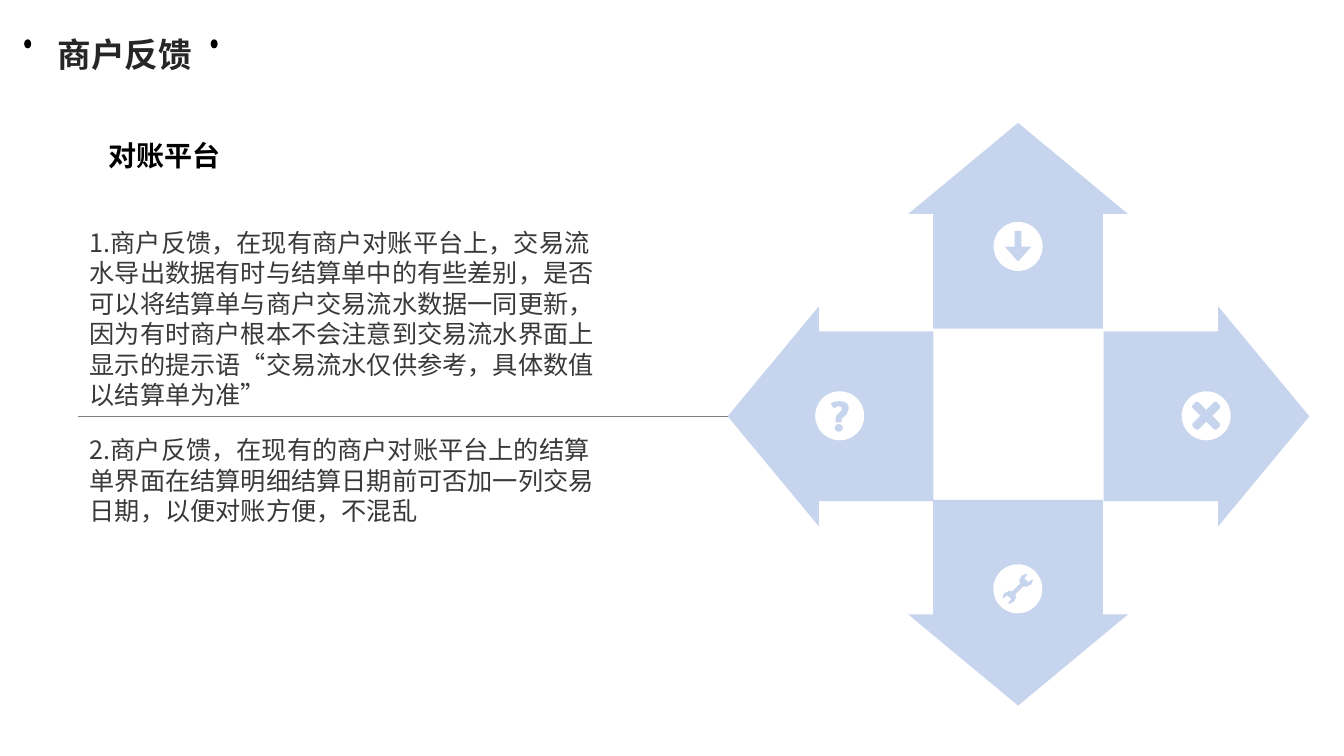
"""Build the slide on merchant feedback about the billing platform."""
import pptx
import pptx.dml.color
import pptx.enum.shapes
import pptx.enum.text
import pptx.oxml.ns
import pptx.util
import lxml.etree

Pt = pptx.util.Pt
RGBColor = pptx.dml.color.RGBColor
SHAPE = pptx.enum.shapes.MSO_SHAPE
ALIGN = pptx.enum.text.PP_ALIGN
ANCHOR = pptx.enum.text.MSO_ANCHOR
qn = pptx.oxml.ns.qn

BLACK = RGBColor(0, 0, 0)
WHITE = RGBColor(255, 255, 255)
DARK = RGBColor(0x26, 0x26, 0x26)
BROWN = RGBColor(0x3B, 0x38, 0x38)
GREY = RGBColor(0x80, 0x80, 0x80)
BLUE = RGBColor(0x8F, 0xAA, 0xDC)
PALE = RGBColor(0xC7, 0xD4, 0xED)

NOTO = "Noto Sans CJK SC"
DISC = 35
UNIT = 0.72

ARROW = [(0, 0), (78.5, 65.1), (60.6, 65.1), (60.6, 146.9),
         (-60.6, 146.9), (-60.6, 65.1), (-78.5, 65.1)]
TURNS = [(727.2, 87.8, 1, 0), (519.8, 297.4, 0, -1),
         (935.3, 297.4, 0, 1), (727.2, 504, -1, 0)]
HOOK = [(-4, 6.5), (2, 6.5), (2, 3.5), (3, 1.5), (5, 0.5), (7, -1.5),
        (8, -4.5), (9, -7.5), (8.5, -10.5), (7, -12.5), (4, -14), (0, -14.5),
        (-5, -14), (-9, -12.5), (-6, -7.5), (-4, -8.5), (-1, -9.5),
        (1, -9), (2, -8), (2, -6), (1, -4.5), (-1, -2.5), (-3, -0.5), (-4, 2.5)]
JAW = [(5.5, -2.5), (-2.5, 5.5), (-1.5, 8), (-4, 13), (-8.5, 15),
       (-9.5, 14.5), (-6.5, 10), (-10.5, 6.5), (-14.5, 9.5), (-15, 8.5),
       (-13.5, 4.5), (-8.5, 2)]
WRENCH = JAW + [(-x, -y) for x, y in JAW]

NOTES = [
    (158.4, 138.2, "1.商户反馈，在现有商户对账平台上，交易流水导出数据有时与结算单中的有些差别，"
     "是否可以将结算单与商户交易流水数据一同更新，因为有时商户根本不会注意到"
     "交易流水界面上显示的提示语“交易流水仅供参考，具体数值以结算单为准”"),
    (306.7, 73.4, "2.商户反馈，在现有的商户对账平台上的结算单界面在结算明细结算日期前可否"
     "加一列交易日期，以便对账方便，不混乱"),
]


def paint(shape, color):
    """Give a shape a flat fill with no line or shadow."""
    shape.shadow.inherit = False
    shape.fill.solid()
    shape.fill.fore_color.rgb = color
    shape.line.fill.background()
    return shape


def put(slide, kind, mid_x, mid_y, width, height, color):
    """Add a preset shape around its middle."""
    shape = slide.shapes.add_shape(kind, Pt(mid_x - width / 2), Pt(mid_y - height / 2),
                                   Pt(width), Pt(height))
    return paint(shape, color)


def trace(slide, points, color):
    """Add a closed outline through the points."""
    spots = [(Pt(x), Pt(y)) for x, y in points]
    pen = slide.shapes.build_freeform(*spots[0])
    pen.add_line_segments(spots[1:], close=True)
    return paint(pen.convert_to_shape(), color)


def sign(slide, mid_x, mid_y, points):
    """Trace a symbol around the middle of its disc."""
    trace(slide, [(mid_x + x * UNIT, mid_y + y * UNIT) for x, y in points], PALE)


def arrow(slide, tip_x, tip_y, cos, sin):
    """Add one half clear arrow turned about its tip."""
    points = [(tip_x + x * cos - y * sin, tip_y + x * sin + y * cos) for x, y in ARROW]
    shape = trace(slide, points, BLUE)
    tint = shape._element.spPr.find(qn("a:solidFill"))[0]
    lxml.etree.SubElement(tint, qn("a:alpha")).set("val", "50000")


def write(shape, box, text, size, color, font=NOTO, bold=False, align=ALIGN.LEFT,
          anchor=ANCHOR.TOP, wrap=True):
    """Place a shape and set its text in one run without a bullet."""
    shape.left, shape.top, shape.width, shape.height = map(Pt, box)
    frame = shape.text_frame
    frame.word_wrap = wrap
    frame.auto_size = pptx.enum.text.MSO_AUTO_SIZE.NONE
    frame.vertical_anchor = anchor
    para = frame.paragraphs[0]
    para.alignment = align
    para.space_before = Pt(0)
    para.line_spacing = Pt(size * 1.21)
    props = para._p.get_or_add_pPr()
    props.set("marL", "0")
    props.set("indent", "0")
    lxml.etree.SubElement(props, qn("a:buNone"))
    run = para.add_run()
    run.text = text
    run.font.size = Pt(size)
    run.font.bold = bold
    run.font.color.rgb = color
    run.font.name = font
    east = lxml.etree.SubElement(run._r.get_or_add_rPr(), qn("a:ea"))
    east.set("typeface", NOTO)


def rule(slide, start, end, y):
    """Add the thin grey line."""
    line = slide.shapes.add_connector(pptx.enum.shapes.MSO_CONNECTOR.STRAIGHT,
                                      Pt(start), Pt(y), Pt(end), Pt(y))
    line.line.color.rgb = GREY
    line.line.width = Pt(0.5)
    lxml.etree.SubElement(line._element.spPr, qn("a:effectLst"))


def icons(slide):
    """Add the four discs with their symbols."""
    top, left, right, low = (727.2, 176), (599.8, 297), (861.6, 297), (727, 420.6)
    for spot in (top, left, right, low):
        put(slide, SHAPE.OVAL, *spot, DISC, DISC, WHITE)
    down = put(slide, SHAPE.DOWN_ARROW, *top, 19, 21.6, PALE)
    down.adjustments[0] = 0.26
    down.adjustments[1] = 0.56
    sign(slide, *left, HOOK)
    put(slide, SHAPE.OVAL, left[0] - 0.7, left[1] + 8.6, 5.8, 5.4, PALE)
    for angle in (45, 135):
        bar = put(slide, SHAPE.ROUNDED_RECTANGLE, *right, 24.5, 6, PALE)
        bar.adjustments[0] = 0.3
        bar.rotation = angle
    sign(slide, *low, WRENCH)


def main():
    """Make the deck and save it."""
    deck = pptx.Presentation()
    deck.slide_width, deck.slide_height = Pt(960), Pt(540)
    slide = deck.slides.add_slide(deck.slide_layouts[3])
    title, *bodies = slide.placeholders
    write(title, (23, 19.4, 132.5, 38.2), "商户反馈", 24, DARK, bold=True,
          align=ALIGN.CENTER, anchor=ANCHOR.MIDDLE)
    for x in (19.8, 153):
        put(slide, SHAPE.OVAL, x, 31.3, 5, 6.5, BLACK)
    for turn in TURNS:
        arrow(slide, *turn)
    icons(slide)
    rule(slide, 519.8, 55.4, 297.4)
    for body, (top, height, text) in zip(bodies, NOTES):
        write(body, (56.9, top, 379.4, height), text, 18, BROWN)
    head = slide.shapes.add_textbox(0, 0, 0, 0)
    write(head, (70.6, 95, 95, 31), "对账平台", 20, BLACK, font="Calibri",
          bold=True, wrap=False)
    deck.save("out.pptx")


if __name__ == "__main__":
    main()
